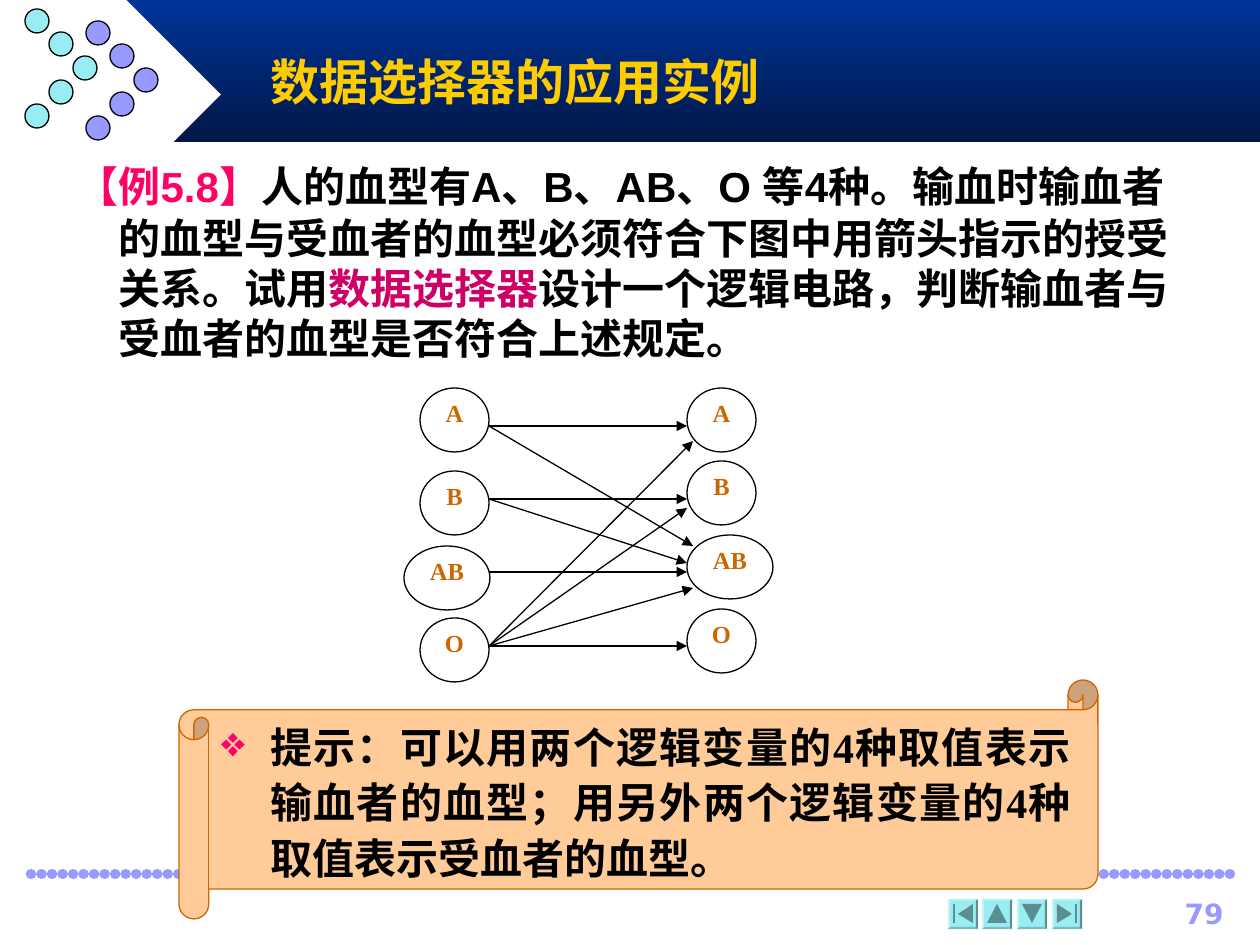
from dataclasses import dataclass

from lxml import etree
from pptx import Presentation
from pptx import util as u
from pptx.dml.color import RGBColor
from pptx.enum import shapes, text
from pptx.oxml.ns import qn

EMU_PER_PX = 914400 / 126
PRESET = shapes.MSO_SHAPE


@dataclass(frozen=True)
class Theme:
    white: str = "FFFFFF"
    ink: str = "000000"
    band_top: str = "003399"
    band_bottom: str = "001847"
    violet: str = "9999FF"
    cyan: str = "98ECF2"
    nav_icon: str = "5B8E91"
    gold: str = "FFCC00"
    pink: str = "FF0066"
    magenta: str = "CC0066"
    orange: str = "CC6600"
    peach: str = "FFCC99"
    sans: str = "Arial"
    serif: str = "Times New Roman"
    number: str = "DejaVu Sans"
    title_size: int = 28
    body_size: int = 24
    number_size: int = 16
    node_size: int = 14
    hairline: float = 0.75
    dots_width: int = 6


THEME = Theme()


def px(length):
    return u.Emu(round(length * EMU_PER_PX))


def rgb(color):
    return RGBColor.from_string(color)


def xml_child(parent, tag, **attributes):
    return etree.SubElement(parent, qn(tag), attributes)


def paint(shape, fill=None, line=None):
    shape.shadow.inherit = False
    if fill:
        shape.fill.solid()
        shape.fill.fore_color.rgb = rgb(fill)
    else:
        shape.fill.background()
    if line:
        shape.line.color.rgb = rgb(line)
        shape.line.width = u.Pt(THEME.hairline)
    else:
        shape.line.fill.background()
    return shape


def add_preset(slide, preset, box, fill=None, line=None):
    return paint(slide.shapes.add_shape(preset, *map(px, box)), fill, line)


def add_polygon(slide, points, fill):
    outline = slide.shapes.build_freeform(*points[0], scale=EMU_PER_PX)
    outline.add_line_segments(points[1:], close=True)
    return paint(outline.convert_to_shape(), fill)


def add_line(slide, start, end, color, width):
    line = slide.shapes.add_connector(
        shapes.MSO_CONNECTOR.STRAIGHT, *map(px, (*start, *end)))
    line.line.color.rgb = rgb(color)
    line.line.width = u.Pt(width)
    xml_child(line._element.spPr, "a:effectLst")
    return line.line._get_or_add_ln()


def add_arrow(slide, start, end):
    ln = add_line(slide, start, end, THEME.ink, THEME.hairline)
    xml_child(ln, "a:tailEnd", type="triangle")


def add_dotted_rule(slide, start, end):
    ln = add_line(slide, start, end, THEME.violet, THEME.dots_width)
    ln.set("cap", "rnd")
    dashes = xml_child(ln, "a:custDash")
    xml_child(dashes, "a:ds", d="1000", sp="99000")


def write(shape, runs, font, align, anchor, wrap=True):
    frame = shape.text_frame
    frame.auto_size = text.MSO_AUTO_SIZE.NONE
    frame.word_wrap = wrap
    frame.vertical_anchor = anchor
    paragraph = frame.paragraphs[0]
    paragraph.alignment = align
    paragraph.space_before = u.Pt(0)
    for words, size, color in runs:
        run = paragraph.add_run()
        run.text = words
        run.font.name = font
        run.font.size = u.Pt(size)
        run.font.bold = True
        run.font.color.rgb = rgb(color)
    return paragraph


def hang(paragraph, indent, bullet=None, color=None):
    properties = paragraph._p.get_or_add_pPr()
    properties.set("marL", str(px(indent)))
    properties.set("indent", str(-px(indent)))
    if bullet:
        tint = xml_child(properties, "a:buClr")
        xml_child(tint, "a:srgbClr", val=color)
        xml_child(properties, "a:buChar", char=bullet)
    else:
        xml_child(properties, "a:buNone")


def place(slide, placeholder, box):
    placeholder.left, placeholder.top, placeholder.width, placeholder.height = map(px, box)
    slide.shapes._spTree.append(placeholder._element)
    return placeholder


def add_header(slide):
    band = add_preset(slide, PRESET.RECTANGLE, (126, 0, 1134, 142), THEME.band_top)
    band.fill.gradient()
    band.fill.gradient_angle = 270
    for stop, color in zip(band.fill.gradient_stops, (THEME.band_top, THEME.band_bottom)):
        stop.color.rgb = rgb(color)
    add_preset(slide, PRESET.DIAMOND, (32, 0, 189, 189), THEME.white)
    for left, top, color in ((86, 21, THEME.violet), (25, 9, THEME.cyan)):
        for row in range(5):
            column = 2 - abs(row - 2)
            dot = (left + column * 24, top + row * 95 // 4, 24, 24)
            add_preset(slide, PRESET.OVAL, dot, color, THEME.ink)


def add_navigation(slide):
    first = [[(10, 15), (25, 5), (25, 24)], [(5, 5), (7, 5), (7, 24), (5, 24)]]
    last = [[(30 - x, y) for x, y in outline] for outline in first]
    previous = [[(15, 5), (25, 24), (5, 24)]]
    following = [[(5, 5), (25, 5), (15, 24)]]
    top = 899
    for position, icon in enumerate((first, previous, following, last)):
        left = 948 + position * 104 // 3
        button = add_preset(slide, PRESET.BEVEL, (left, top, 30, 30), THEME.cyan)
        button.adjustments[0] = 0.07
        for outline in icon:
            add_polygon(slide, [(left + x, top + y) for x, y in outline], THEME.nav_icon)


def add_blood_type(slide, name, left, top):
    width = 86 if name == "AB" else 69
    node = add_preset(slide, PRESET.OVAL, (left, top, width, 64), line=THEME.ink)
    label = write(node, [(name, THEME.node_size, THEME.orange)], THEME.serif,
                  text.PP_ALIGN.CENTER, text.MSO_ANCHOR.TOP, wrap=False)
    label.line_spacing = 0.8


def add_transfusion_diagram(slide):
    types = ("A", "B", "AB", "O")
    donor_tops = (388, 471, 546, 618)
    levels = [426 + row * 220 // 3 for row in range(4)]
    for row, (name, donor_top) in enumerate(zip(types, donor_tops)):
        add_blood_type(slide, name, 404 if name == "AB" else 420, donor_top)
        add_blood_type(slide, name, 687, 388 + row * 221 // 3)
        add_arrow(slide, (489, levels[row]), (687, levels[row]))
    crossings = ((3, 693, 441), (3, 687, 508), (3, 693, 588), (0, 693, 546), (1, 687, 563))
    for donor, x, y in crossings:
        add_arrow(slide, (489, levels[donor]), (x, y))


def add_hint(slide):
    scroll = add_preset(slide, PRESET.HORIZONTAL_SCROLL, (179, 680, 919, 239),
                        THEME.peach, THEME.orange)
    scroll.adjustments[0] = 0.125
    hint = "提示：可以用两个逻辑变量的4种取值表示输血者的血型；用另外两个逻辑变量的4种取值表示受血者的血型。"
    paragraph = write(scroll, [(hint, THEME.body_size, THEME.ink)], THEME.serif,
                      text.PP_ALIGN.JUSTIFY, text.MSO_ANCHOR.MIDDLE)
    hang(paragraph, 49, "❖", THEME.pink)
    paragraph.line_spacing = 1.1


def add_problem(slide):
    title = place(slide, slide.shapes.title, (258, 21, 939, 120))
    write(title, [("数据选择器的应用实例", THEME.title_size, THEME.gold)], THEME.sans,
          text.PP_ALIGN.LEFT, text.MSO_ANCHOR.MIDDLE)
    size = THEME.body_size
    runs = [
        (" ", THEME.title_size, THEME.ink),
        ("【例5.8】", size, THEME.pink),
        ("人的血型有A、B、AB、O 等4种。输血时输血者的血型与受血者的血型必须符合下图中用箭头指示的授受关系。试用",
         size, THEME.ink),
        ("数据选择器", size, THEME.magenta),
        ("设计一个逻辑电路，判断输血者与受血者的血型是否符合上述规定。", size, THEME.ink),
    ]
    body = place(slide, slide.placeholders[1], (53, 147, 1131, 234))
    paragraph = write(body, runs, THEME.sans, text.PP_ALIGN.LEFT, text.MSO_ANCHOR.TOP)
    hang(paragraph, 53)


def add_page_number(slide):
    number = slide.shapes.add_textbox(*map(px, (1116, 890, 120, 42)))
    write(number, [("79", THEME.number_size, THEME.violet)], THEME.number,
          text.PP_ALIGN.RIGHT, text.MSO_ANCHOR.TOP)


def main():
    deck = Presentation()
    deck.slide_width, deck.slide_height = px(1260), px(945)
    slide = deck.slides.add_slide(deck.slide_layouts[1])
    add_header(slide)
    add_dotted_rule(slide, (31, 874), (1239, 874))
    add_navigation(slide)
    add_problem(slide)
    add_transfusion_diagram(slide)
    add_hint(slide)
    add_page_number(slide)
    deck.save("out.pptx")


if __name__ == "__main__":
    main()
